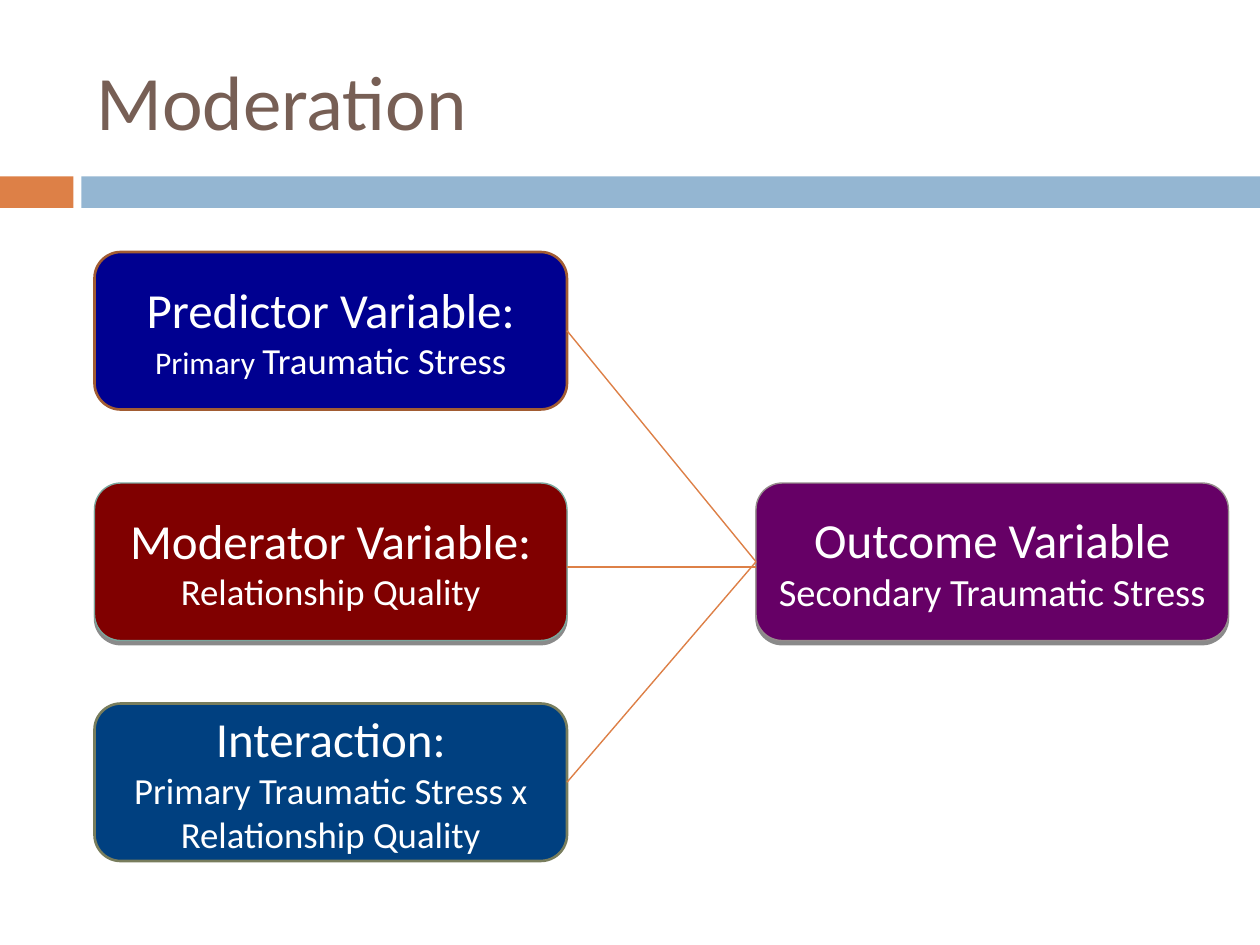
from lxml.etree import SubElement
from pptx import Presentation
from pptx.dml.color import RGBColor as RGB
from pptx.enum.shapes import MSO_CONNECTOR as LINK, MSO_SHAPE as SHAPE
from pptx.enum.text import MSO_ANCHOR as ANCHOR, PP_ALIGN as ALIGN
from pptx.oxml.ns import qn
from pptx.util import Pt

ORANGE = RGB(0xDD, 0x80, 0x47)
SKY = RGB(0x94, 0xB6, 0xD2)
BROWN = RGB(0x77, 0x5F, 0x55)
WHITE = RGB(0xFF, 0xFF, 0xFF)
NAVY = RGB(0x00, 0x00, 0x90)
RUST = RGB(0xA2, 0x5C, 0x32)
BLUE = RGB(0x00, 0x40, 0x80)
OLIVE = RGB(0x78, 0x7D, 0x5D)
MAROON = RGB(0x80, 0x00, 0x00)
TEAL = RGB(0x7B, 0xA7, 0x9D)
PURPLE = RGB(0x66, 0x00, 0x66)
GRAY = RGB(0x96, 0x8C, 0x8C)

FONT = "Calibri"
LEFT, RIGHT = 54, 432
WIDE, HIGH = 270, 90
THIN, THICK = 0.79, 1.5


def add_text(para, text, size, color):
    run = para.add_run()
    run.text = text
    form = {"name": FONT, "size": Pt(size)}
    for key, value in form.items():
        setattr(run.font, key, value)
    run.font.color.rgb = color


def add_title(slide, text):
    box = slide.shapes.add_textbox(Pt(48), Pt(18), Pt(642), Pt(78))
    frame = box.text_frame
    form = {"word_wrap": True, "vertical_anchor": ANCHOR.MIDDLE}
    for key, value in form.items():
        setattr(frame, key, value)
    add_text(frame.paragraphs[0], text, 44, BROWN)


def add_bar(slide, left, width, color):
    bar = slide.shapes.add_shape(
        SHAPE.RECTANGLE, Pt(left), Pt(100.8), Pt(width), Pt(18))
    bar.shadow.inherit = False
    bar.fill.solid()
    bar.fill.fore_color.rgb = color
    bar.line.fill.background()


def add_shade(box):
    """Drop a hard shadow straight below the box."""
    effects = box._element.spPr.find(qn("a:effectLst"))
    shade = SubElement(effects, qn("a:outerShdw"), blurRad="0",
                       dist=str(Pt(2.4)), dir="5400000", rotWithShape="0")
    color = SubElement(shade, qn("a:srgbClr"), val="000000")
    SubElement(color, qn("a:alpha"), val="45000")


def add_box(slide, left, top, fill, edge, weight, paras):
    """Draw a variable; each paragraph is a list of (text, size) runs."""
    box = slide.shapes.add_shape(
        SHAPE.FLOWCHART_ALTERNATE_PROCESS,
        Pt(left), Pt(top), Pt(WIDE), Pt(HIGH))
    box.shadow.inherit = False
    box.fill.solid()
    box.fill.fore_color.rgb = fill
    box.line.color.rgb = edge
    box.line.width = Pt(weight)
    frame = box.text_frame
    form = {"word_wrap": True, "vertical_anchor": ANCHOR.MIDDLE,
            "margin_left": Pt(7.2), "margin_right": Pt(7.2),
            "margin_top": Pt(3.6), "margin_bottom": Pt(3.6)}
    for key, value in form.items():
        setattr(frame, key, value)
    for i, runs in enumerate(paras):
        para = frame.add_paragraph() if i else frame.paragraphs[0]
        para.alignment = ALIGN.CENTER
        for text, size in runs:
            add_text(para, text, size, WHITE)
    return box


def add_line(slide, start=None, end=None):
    """Link two boxes side to side, or run level between the columns."""
    line = slide.shapes.add_connector(
        LINK.STRAIGHT, Pt(LEFT + WIDE), Pt(324), Pt(RIGHT), Pt(324))
    if start is not None:
        line.begin_connect(start, 3)
    if end is not None:
        line.end_connect(end, 1)
    line.line.color.rgb = ORANGE
    line.line.width = Pt(THIN)
    SubElement(line._element.spPr, qn("a:effectLst"))


def main():
    deck = Presentation()
    deck.slide_width, deck.slide_height = Pt(720), Pt(540)
    slide = deck.slides.add_slide(deck.slide_layouts[6])
    add_bar(slide, 0, 42, ORANGE)
    add_bar(slide, 46.5, 673.5, SKY)
    add_title(slide, "Moderation")

    cause = add_box(slide, LEFT, 144, NAVY, RUST, THICK, [
        [("Predictor Variable:", 28), (" Primary ", 18),
         ("Traumatic Stress", 21)]])
    cross = add_box(slide, LEFT, 402, BLUE, OLIVE, THICK, [
        [("Interaction:", 28)],
        [("Primary Traumatic Stress x Relationship Quality", 21)]])
    factor = add_box(slide, LEFT, 276, MAROON, TEAL, THIN, [
        [("Moderator Variable:", 28)], [("Relationship Quality", 21)]])
    result = add_box(slide, RIGHT, 276, PURPLE, GRAY, THIN, [
        [("Outcome Variable", 28)], [("Secondary Traumatic Stress", 22)]])
    for box in (factor, result):
        add_shade(box)

    add_line(slide, cross, result)
    add_line(slide)
    add_line(slide, cause, result)
    deck.save("out.pptx")


if __name__ == "__main__":
    main()
